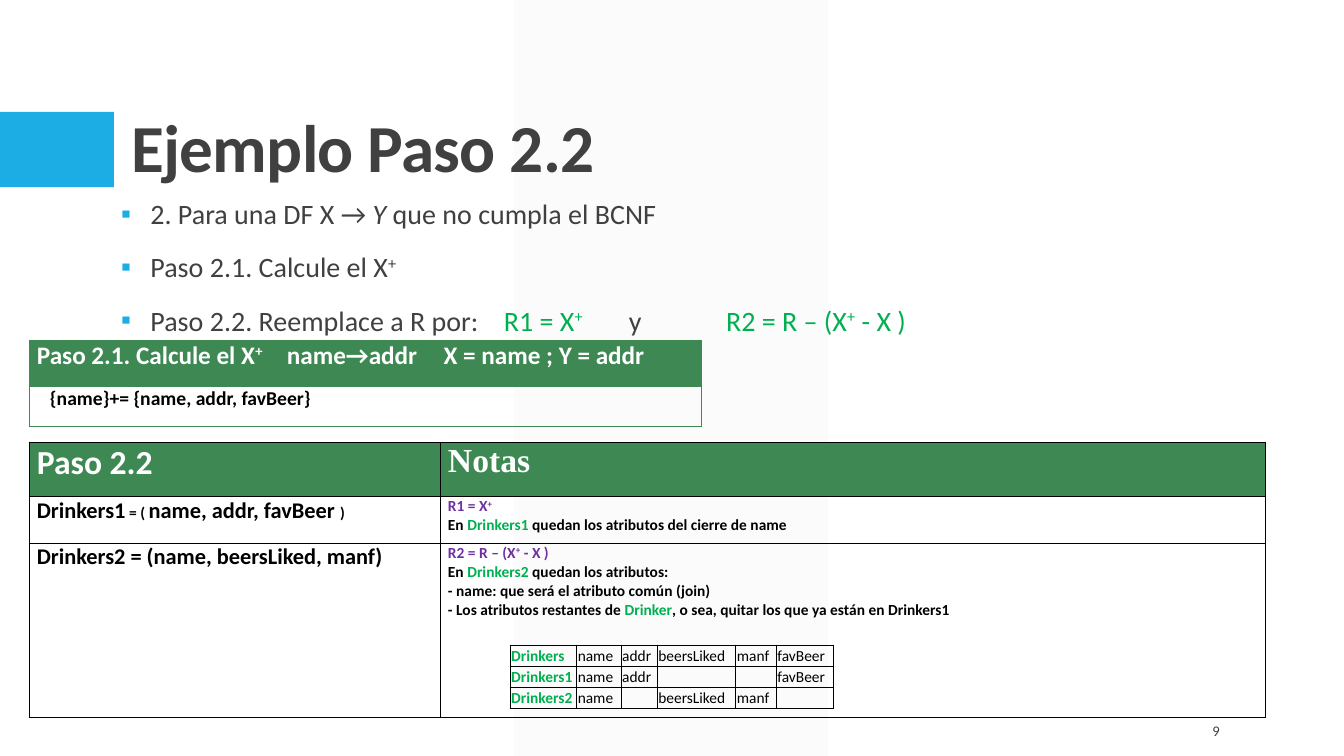
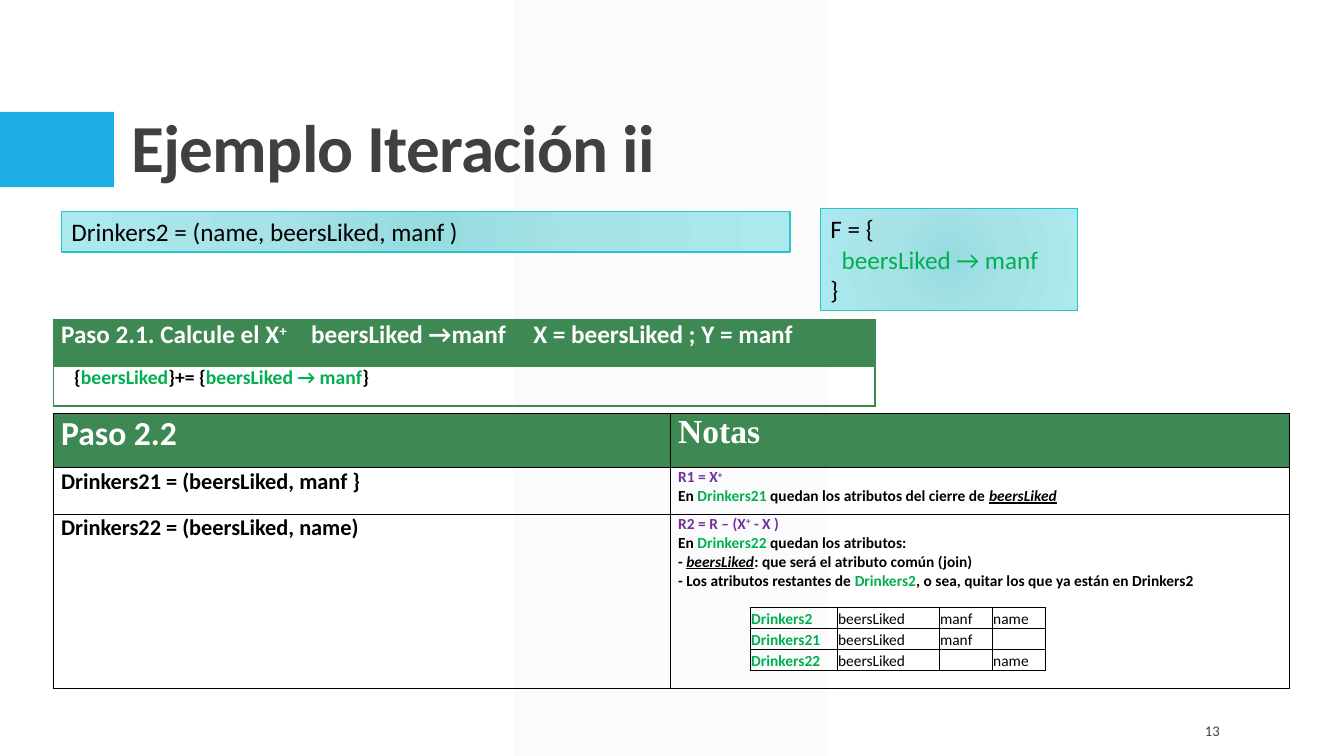
from lxml.etree import SubElement
from pptx import Presentation
from pptx.dml.color import RGBColor
from pptx.enum.shapes import MSO_SHAPE
from pptx.enum.text import MSO_ANCHOR, MSO_AUTO_SIZE, PP_ALIGN
from pptx.oxml import parse_xml
from pptx.oxml.ns import nsdecls, qn
from pptx.util import Cm, Pt

COLORS = {
    "text": "404040", "black": "000000", "white": "FFFFFF", "accent": "1CADE4",
    "band": "F2F2F2", "header": "3E8853", "green": "00B050", "purple": "7030A0",
    "box_line": "28C4CC", "box_center": "95DBE0", "box_middle": "A7E2E7", "box_edge": "ACE9EE",
}
RGB = {name: RGBColor.from_string(value) for name, value in COLORS.items()}
FONT = "Calibri"


def write(frame, paragraphs, size, color="black", bold=False, font=FONT, tabs=()):
    """Each paragraph is a list of strings or (text, mark, ...) tuples; a mark is
    a color name, a size in points, or sup, italic, underline."""
    for number, pieces in enumerate(paragraphs):
        paragraph = frame.add_paragraph() if number else frame.paragraphs[0]
        for piece in pieces:
            text, *marks = (piece,) if isinstance(piece, str) else piece
            run = paragraph.add_run()
            run.text = text
            run.font.name = font
            run.font.bold = bold
            run.font.size = Pt(next((m for m in marks if isinstance(m, (int, float))), size))
            run.font.color.rgb = RGB[next((m for m in marks if m in RGB), color)]
            if "italic" in marks:
                run.font.italic = True
            if "underline" in marks:
                run.font.underline = True
            if "sup" in marks:
                run.font._element.set("baseline", "30000")
        SubElement(paragraph._p, qn("a:endParaRPr"), sz=str(size * 100))
        if tabs:
            stops = SubElement(paragraph._p.get_or_add_pPr(), qn("a:tabLst"))
            for stop in tabs:
                SubElement(stops, qn("a:tab"), pos=str(Cm(stop)), algn="l")


def add_grid(slide, left, top, widths, heights, border, points, margins):
    table = slide.shapes.add_table(len(heights), len(widths), Cm(left), Cm(top),
                                   Cm(sum(widths)), Cm(sum(heights))).table
    table.first_row = table.horz_banding = False
    for column, width in zip(table.columns, widths):
        column.width = Cm(width)
    for row, height in zip(table.rows, heights):
        row.height = Cm(height)
    for cell in table.iter_cells():
        cell.fill.background()
        cell.margin_left, cell.margin_top, cell.margin_right, cell.margin_bottom = map(Cm, margins)
        properties = cell._tc.get_or_add_tcPr()
        for place, side in enumerate(("lnL", "lnR", "lnT", "lnB")):
            properties.insert(place, parse_xml(
                f'<a:{side} {nsdecls("a")} w="{Pt(points)}"><a:solidFill>'
                f'<a:srgbClr val="{COLORS[border]}"/></a:solidFill></a:{side}>'))
    return table


# Content
R1 = ["R1 = X", ("+", "sup")]
R2 = ["R2 = R – (X", ("+", "sup"), " - X )"]


def_colored = {"purple": [[(p, "purple") if isinstance(p, str) else (*p, "purple") for p in formula]
                          for formula in (R1, R2)],
               "green": [[(p, "green") if isinstance(p, str) else (*p, "green") for p in formula]
                         for formula in (R1, R2)]}
R1_NOTE, R2_NOTE = def_colored["purple"]
R1_STEP, R2_STEP = def_colored["green"]
KEY = ("beersLiked", "italic", "underline")

SLIDES = [
    {
        "title": "Ejemplo Paso 2.2", "page": "9", "layout": 1, "left": 0.74,
        "closure_top": 8.57, "closure_width": 16.94, "tabs": (6.3, 10.25),
        "dependency": "name→addr\tX = name ; Y = addr",
        "closure": ["{name}+= {name, addr, favBeer}"],
        "result_top": 11.15, "result_widths": (10.36, 20.8),
        "results": [
            ["Drinkers1", (" = ( ", 11), "name, addr, favBeer ", (")", 11)],
            ["Drinkers2 = (name, beersLiked, manf)"],
        ],
        "notes": [
            [R1_NOTE, ["En ", ("Drinkers1", "green"), " quedan los atributos del cierre de name"]],
            [R2_NOTE, ["En ", ("Drinkers2", "green"), " quedan los atributos:"],
             ["- name: que será el atributo común (join)"],
             ["- Los atributos restantes de ", ("Drinker", "green"),
              ", o sea, quitar los que ya están en Drinkers1"]],
        ],
        "split_at": (12.85, 16.25), "split_widths": (1.68, 1.12, 0.91, 1.98, 1.02, 1.45),
        "split": [["Drinkers", "name", "addr", "beersLiked", "manf", "favBeer"],
                  ["Drinkers1", "name", "addr", "", "", "favBeer"],
                  ["Drinkers2", "name", "", "beersLiked", "manf", ""]],
    },
    {
        "title": "Ejemplo Iteración ii", "page": "13", "layout": 5, "left": 1.35,
        "closure_top": 8.06, "closure_width": 20.7, "tabs": (6.3, 11.9),
        "dependency": "beersLiked →manf\tX = beersLiked ; Y = manf",
        "closure": ["{", ("beersLiked", "green"), "}+= {", ("beersLiked → manf", "green"), "}"],
        "result_top": 10.42, "result_widths": (15.55, 15.6),
        "results": [["Drinkers21 = (beersLiked, manf }"], ["Drinkers22 = (beersLiked, name)"]],
        "notes": [
            [R1_NOTE, ["En ", ("Drinkers21", "green"), " quedan los atributos del cierre de ", KEY]],
            [R2_NOTE, ["En ", ("Drinkers22", "green"), " quedan los atributos:"],
             ["- ", KEY, ": que será el atributo común (join)"],
             ["- Los atributos restantes de ", ("Drinkers2", "green"),
              ", o sea, quitar los que ya están en Drinkers2"]],
        ],
        "split_at": (18.9, 15.31), "split_widths": (2.19, 2.57, 1.34, 1.34),
        "split": [["Drinkers2", "beersLiked", "manf", "name"],
                  ["Drinkers21", "beersLiked", "manf", ""],
                  ["Drinkers22", "beersLiked", "", "name"]],
    },
]
STEPS = [
    ["2. Para una DF X → ", ("Y ", "italic"), "que no cumpla el BCNF"],
    ["Paso 2.1. Calcule el X", ("+", "sup")],
    ["Paso 2.2. Reemplace a R por:\t", *R1_STEP, "\ty\t", *R2_STEP],
]
RELATION_BOXES = [
    (20.68, 5.26, 6.48, 2.57, [["F = {"], [("beersLiked → manf", "green")], ["}"]]),
    (1.55, 5.33, 18.36, 1.02, [["Drinkers2 = (name, beersLiked, manf )"]]),
]

prs = Presentation()
prs.slide_width, prs.slide_height = Cm(33.87), Cm(19.05)
master = prs.slide_master

# Shared title place
master_title = master.placeholders[0]
master_title.left, master_title.top = Cm(3.05), Cm(0.79)
master_title.width, master_title.height = Cm(27.94), Cm(4.04)
master_title.text_frame.vertical_anchor = MSO_ANCHOR.BOTTOM
slides = [prs.slides.add_slide(prs.slide_layouts[content["layout"]]) for content in SLIDES]

# Shared bands, moved to the master behind its placeholders
for order, (kind, color, left, top, width, height) in enumerate([
        (MSO_SHAPE.PARALLELOGRAM, "band", 12.95, 0, 7.92, 19.05),
        (MSO_SHAPE.RECTANGLE, "accent", 0, 2.82, 2.87, 1.9)]):
    band = slides[0].shapes.add_shape(kind, Cm(left), Cm(top), Cm(width), Cm(height))
    band.shadow.inherit = False
    band.fill.solid()
    band.fill.fore_color.rgb = RGB[color]
    band.line.fill.background()
    if color == "band":
        band.adjustments[0] = 0
        SubElement(band.element.spPr.find(".//" + qn("a:srgbClr")), qn("a:alpha"), val="30000")
    band.element.nvSpPr.cNvPr.set("id", str(101 + order))
    master.shapes.element.insert(2 + order, band.element)

for slide, content in zip(slides, SLIDES):
    # Title
    title = slide.shapes.title.text_frame
    write(title, [[content["title"]]], 48, "text", True)
    title.auto_size = MSO_AUTO_SIZE.NONE
    title.paragraphs[0].alignment = PP_ALIGN.LEFT
    title.paragraphs[0].line_spacing = 0.9
    title.paragraphs[0].runs[0].font._element.set("spc", "-50")

    # Closure table
    closure = add_grid(slide, content["left"], content["closure_top"], [content["closure_width"]],
                       [1.17, 1], "header", 1, (0.19, 0, 0.19, 0))
    heading, attributes = closure.cell(0, 0), closure.cell(1, 0)
    heading.fill.solid()
    heading.fill.fore_color.rgb = RGB["header"]
    attributes.margin_left = Cm(0.52)
    write(heading.text_frame,
          [["Paso 2.1. Calcule el X", ("+", "sup"), "\t" + content["dependency"]]],
          18, "white", True, tabs=content["tabs"])
    write(attributes.text_frame, [content["closure"]], 14, bold=True)

    # Decomposition table
    decomposition = add_grid(slide, content["left"], content["result_top"],
                             content["result_widths"], [1.37, 1.17, 4.39],
                             "black", 1, (0.19, 0, 0.19, 0))
    for column, (label, font) in enumerate([("Paso 2.2", FONT), ("Notas", "Times New Roman")]):
        heading = decomposition.cell(0, column)
        heading.fill.solid()
        heading.fill.fore_color.rgb = RGB["header"]
        write(heading.text_frame, [[label]], 24, "white", True, font)
    for row, (result, notes) in enumerate(zip(content["results"], content["notes"]), 1):
        write(decomposition.cell(row, 0).text_frame, [result], 16, bold=True)
        write(decomposition.cell(row, 1).text_frame, notes, 11, bold=True)

    # Attributes kept by each relation
    split = add_grid(slide, *content["split_at"], content["split_widths"], [0.53] * 3,
                     "black", 0.5, (0.03, 0.03, 0.03, 0))
    for row, names in enumerate(content["split"]):
        for column, name in enumerate(names):
            cell = split.cell(row, column)
            cell.vertical_anchor = MSO_ANCHOR.BOTTOM
            relation = column == 0
            write(cell.text_frame, [[name] if name else []], 11,
                  "green" if relation else "black", relation)

    # Page number
    page = slide.shapes.add_textbox(Cm(28.83), Cm(17.91), Cm(2.16), Cm(1.02)).text_frame
    page.word_wrap = True
    page.vertical_anchor = MSO_ANCHOR.MIDDLE
    write(page, [[(content["page"], 10.5, "text")]], 11)
    page.paragraphs[0].alignment = PP_ALIGN.RIGHT

# Steps of the algorithm on the first slide
body = slides[0].placeholders[1]
body.left, body.top, body.width, body.height = Cm(3.05), Cm(4.83), Cm(27.94), Cm(10.44)
steps = body.text_frame
steps.auto_size = MSO_AUTO_SIZE.NONE
steps.margin_left = steps.margin_right = 0
write(steps, STEPS, 20, "text", tabs=(9.65, 12.8, 15.25))
for paragraph in steps.paragraphs:
    paragraph.space_before, paragraph.space_after = Pt(12), Pt(2)
    properties = paragraph._p.get_or_add_pPr()
    properties.set("marL", str(Cm(0.74)))
    properties.set("indent", str(-Cm(0.74)))
    for place, bullet in enumerate([
            f'<a:buClr {nsdecls("a")}><a:srgbClr val="{COLORS["accent"]}"/></a:buClr>',
            f'<a:buFont {nsdecls("a")} typeface="{FONT}"/>',
            f'<a:buChar {nsdecls("a")} char="▪"/>'], 2):
        properties.insert(place, parse_xml(bullet))

# Relation and its dependencies on the second slide
for left, top, width, height, lines in RELATION_BOXES:
    box = slides[1].shapes.add_shape(MSO_SHAPE.RECTANGLE, Cm(left), Cm(top), Cm(width), Cm(height))
    box.shadow.inherit = False
    stops = "".join(f'<a:gs pos="{position}"><a:srgbClr val="{COLORS[color]}"/></a:gs>'
                    for position, color in [(0, "box_center"), (45000, "box_middle"),
                                            (100000, "box_edge")])
    box.element.spPr.find(qn("a:prstGeom")).addnext(parse_xml(
        f'<a:gradFill {nsdecls("a")}><a:gsLst>{stops}</a:gsLst><a:path path="circle">'
        '<a:fillToRect l="50000" t="50000" r="50000" b="50000"/></a:path></a:gradFill>'))
    box.line.color.rgb = RGB["box_line"]
    box.line.width = Pt(1)
    box.text_frame.word_wrap = True
    box.text_frame.vertical_anchor = MSO_ANCHOR.TOP
    write(box.text_frame, lines, 18)
    for number, paragraph in enumerate(box.text_frame.paragraphs):
        paragraph.alignment = PP_ALIGN.LEFT
        if number == 1:
            paragraph._p.get_or_add_pPr().set("marL", str(Cm(0.28)))

prs.save("out.pptx")
